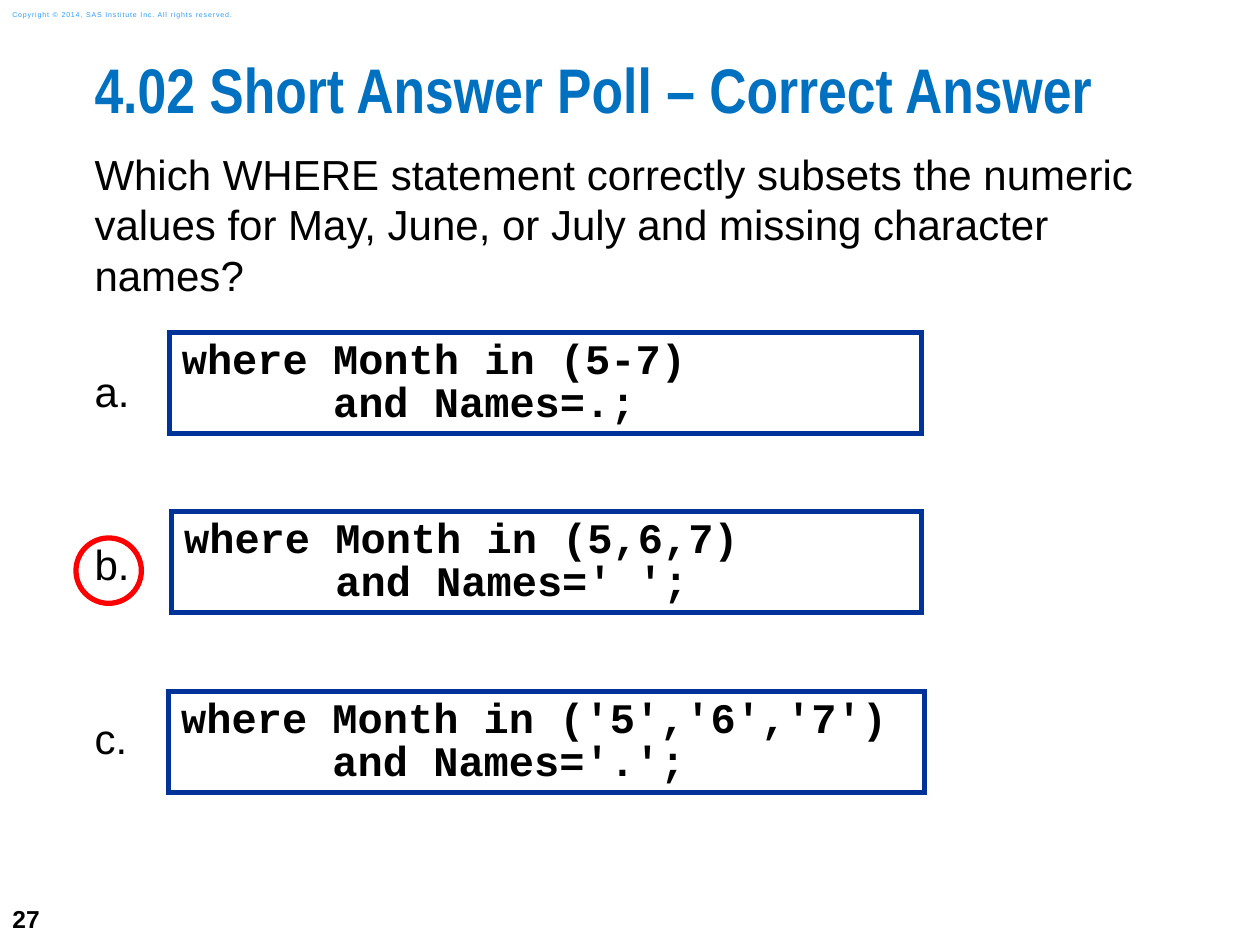
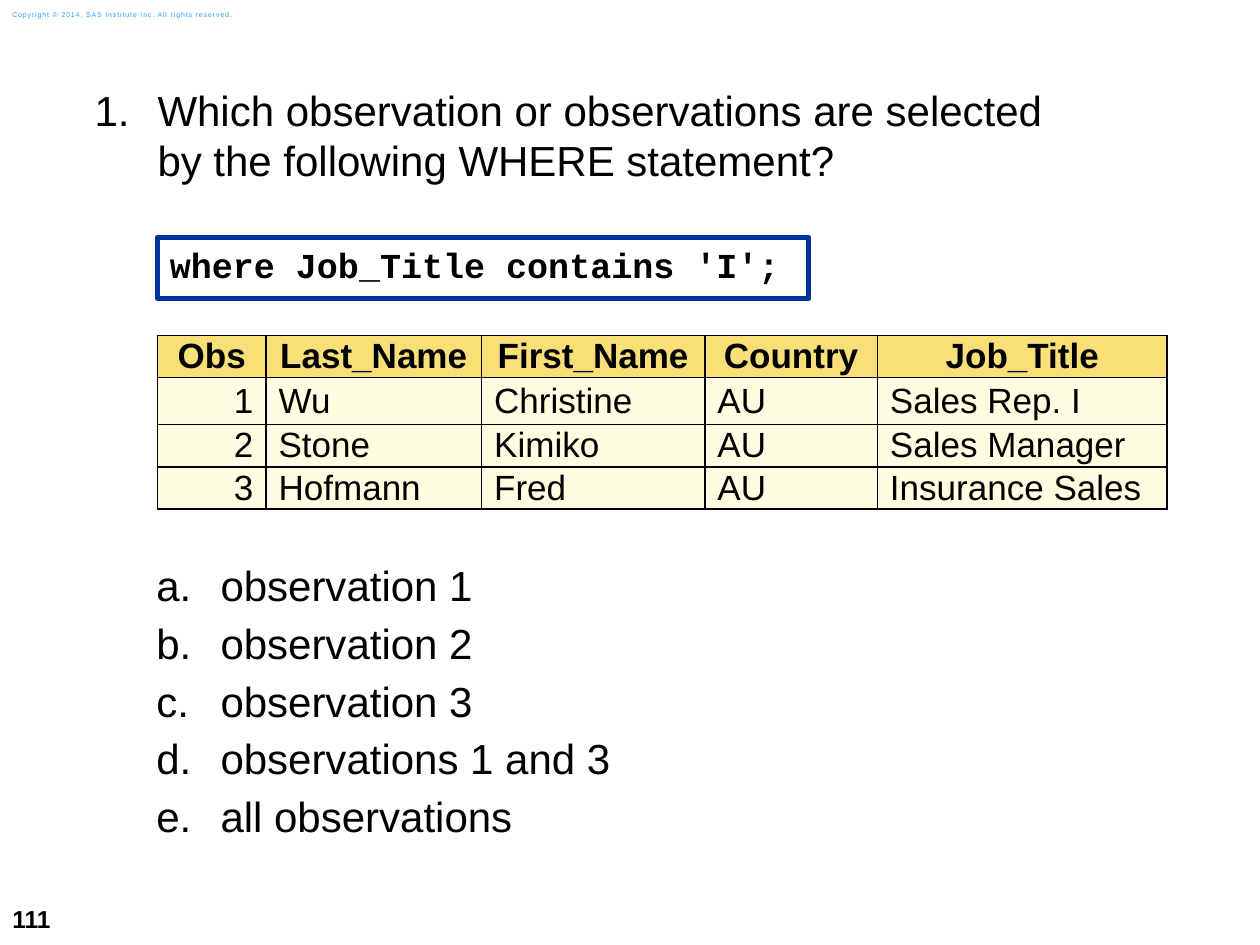
import pptx
import pptx.util
import pptx.dml.color
import pptx.enum.shapes
import pptx.enum.text
import pptx.oxml
import pptx.oxml.ns
from lxml import etree

Pt = pptx.util.Pt
ALIGN = pptx.enum.text.PP_ALIGN
ANCHOR = pptx.enum.text.MSO_ANCHOR
SHAPE = pptx.enum.shapes.MSO_SHAPE
qn = pptx.oxml.ns.qn

COLORS = {
    "text": "000000", "title": "0070C0", "legal": "2A9CFF",
    "code": "FFFFFF", "frame": "003399", "mark": "FF0000",
    "head": "F9DF78", "cell": "FFFDE1", "grid": "000000",
}
LEFT = 54
LEGAL = "Copyright © 2014, SAS Institute Inc. All rights reserved."


def rgb(key):
    return pptx.dml.color.RGBColor.from_string(COLORS[key])


class Deck:
    def __init__(self):
        self.file = pptx.Presentation()
        self.file.slide_width, self.file.slide_height = Pt(720), Pt(540)

    def start(self, number):
        """Add a slide with its page number and copyright line."""
        self.slide = self.file.slides.add_slide(self.file.slide_layouts[6])
        edges = (7.2, 3.6, 7.2, 3.6)
        self.text((0, 509.8, 41.8, 30.2), [number], 14, bold=True,
                  edges=edges, anchor=ANCHOR.MIDDLE)
        legal = self.text((0, 2.2, 152, 12.2), [LEGAL], 4, "legal",
                          edges=edges, anchor=ANCHOR.MIDDLE)
        legal[0].runs[0]._r.get_or_add_rPr().set("spc", "50")

    def style(self, para, size, color="text", face="Arial", bold=False):
        font = para.font
        font.size, font.name, font.bold = Pt(size), face, bold
        font.color.rgb = rgb(color)

    def fill(self, frame, lines, size, color="text", face="Arial", bold=False,
             edges=(0, 0, 0, 0), anchor=ANCHOR.TOP, space=None, number=None, hang=36):
        """Write lines into a text frame; number names an automatic numbering."""
        frame.word_wrap = True
        frame.vertical_anchor = anchor
        (frame.margin_left, frame.margin_top,
         frame.margin_right, frame.margin_bottom) = map(Pt, edges)
        for i, line in enumerate(lines):
            para = frame.paragraphs[0] if i == 0 else frame.add_paragraph()
            para.text = line
            para.alignment = ALIGN.LEFT
            if space:
                para.line_spacing = space
            if number:
                props = para._p.get_or_add_pPr()
                props.set("marL", str(Pt(hang)))
                props.set("indent", str(-Pt(hang)))
                etree.SubElement(props, qn("a:buFont"), typeface="+mj-lt")
                etree.SubElement(props, qn("a:buAutoNum"), type=number)
            self.style(para, size, color, face, bold)
        return frame.paragraphs

    def text(self, box, lines, size, color="text", **look):
        shape = self.slide.shapes.add_textbox(*map(Pt, box))
        return self.fill(shape.text_frame, lines, size, color, **look)

    def title(self, words):
        self.text((LEFT, 36, 666, 53.3), [words], 36, "title",
                  face="Arial Narrow", bold=True, space=0.83)

    def shape(self, kind, box, line, fill=None):
        shape = self.slide.shapes.add_shape(kind, *map(Pt, box))
        shape.shadow.inherit = False
        if fill:
            shape.fill.solid()
            shape.fill.fore_color.rgb = rgb(fill)
        else:
            shape.fill.background()
        shape.line.color.rgb = rgb(line)
        shape.line.width = Pt(3)
        return shape

    def code(self, box, lines, size=24, pad=4.3, sharp=True):
        shape = self.shape(SHAPE.RECTANGLE, box, "frame", "code")
        if sharp:
            etree.SubElement(shape.line._get_or_add_ln(), qn("a:miter"), lim="800000")
        self.fill(shape.text_frame, lines, size, face="Courier New", bold=True,
                  edges=(7.2, pad, pad, pad), space=0.85)

    def ring(self, box):
        self.shape(SHAPE.OVAL, box, "mark")

    def border(self, cell, shown):
        """Draw the named sides of a cell and clear the others."""
        props = cell._tc.get_or_add_tcPr()
        for i, side in enumerate("LRTB"):
            line = etree.Element(qn("a:ln" + side), w=str(Pt(1)))
            if side in shown:
                paint = etree.SubElement(line, qn("a:solidFill"))
                etree.SubElement(paint, qn("a:srgbClr"), val=COLORS["grid"])
            else:
                etree.SubElement(line, qn("a:noFill"))
            props.insert(i, line)

    def table(self, left, top, widths, heights, rows):
        """Draw a clear spacer row, a header row and data rows."""
        table = self.slide.shapes.add_table(
            len(rows), len(widths), Pt(left), Pt(top),
            Pt(sum(widths)), Pt(sum(heights))).table
        table.first_row = table.horz_banding = False
        for col, width in zip(table.columns, widths):
            col.width = Pt(width)
        for r, (row, height) in enumerate(zip(rows, heights)):
            table.rows[r].height = Pt(height)
            for c, words in enumerate(row):
                cell = table.cell(r, c)
                if r == 0:
                    cell.fill.background()
                else:
                    cell.fill.solid()
                    cell.fill.fore_color.rgb = rgb("head" if r == 1 else "cell")
                self.border(cell, "LRTB" if r else "B")
                cell.vertical_anchor = ANCHOR.MIDDLE
                cell.margin_left = cell.margin_right = Pt(7.2)
                cell.margin_top = cell.margin_bottom = 0
                para = cell.text_frame.paragraphs[0]
                para.text = words
                para.alignment = (ALIGN.CENTER if r < 2 else
                                  ALIGN.LEFT if c else ALIGN.RIGHT)
                self.style(para, 20 if r else 12, bold=r == 1)
        table.cell(0, 1).merge(table.cell(0, 2))


def poll(deck):
    deck.start("27")
    deck.title("4.02 Short Answer Poll – Correct Answer")
    body = deck.text((LEFT, 84.7, 617.8, 383), [
        "Which WHERE statement correctly subsets the numeric "
        "values for May, June, or July and missing character names?",
        "a.", "b.", "c."], 24)
    for para, gap in zip(body[1:], (37.5, 70.4, 70.4)):
        para.space_before = Pt(gap)
    answers = [
        (96.8, 190.2, 429.6, "(5-7)", "."),
        (98.1, 292.4, 428.4, "(5,6,7)", "' '"),
        (96.5, 395.3, 432, "('5','6','7')", "'.'"),
    ]
    for left, top, width, months, names in answers:
        deck.code((left, top, width, 57.6),
                  [f"where Month in {months}", f"      and Names={names};"])
    deck.ring((43.4, 307.4, 37.4, 37.4))


def quiz(deck):
    deck.start("111")
    deck.text((LEFT, 48.2, 617.8, 60), [
        "Which observation or observations are selected\v"
        "by the following WHERE statement?"], 24, number="arabicPeriod")
    deck.code((90, 135.7, 372.2, 34.8), ["where Job_Title contains 'I';"],
              size=20, pad=7.2, sharp=False)
    deck.table(90.1, 169.4, (61.9, 123.2, 127.6, 98.6, 165.6),
               (22.4, 24, 26.9, 24, 24), [
        ("",) * 5,
        ("Obs", "Last_Name", "First_Name", "Country", "Job_Title"),
        ("1", "Wu", "Christine", "AU", "Sales Rep. I"),
        ("2", "Stone", "Kimiko", "AU", "Sales Manager"),
        ("3", "Hofmann", "Fred", "AU", "Insurance Sales"),
    ])
    options = deck.text((89.3, 319.7, 582.5, 165), [
        "observation 1", "observation 2", "observation 3",
        "observations 1 and 3", "all observations"],
        24, number="alphaLcPeriod", hang=36.7)
    for para in options[1:]:
        para.space_before = Pt(4.25)


def main():
    deck = Deck()
    poll(deck)
    quiz(deck)
    deck.file.save("out.pptx")


if __name__ == "__main__":
    main()
